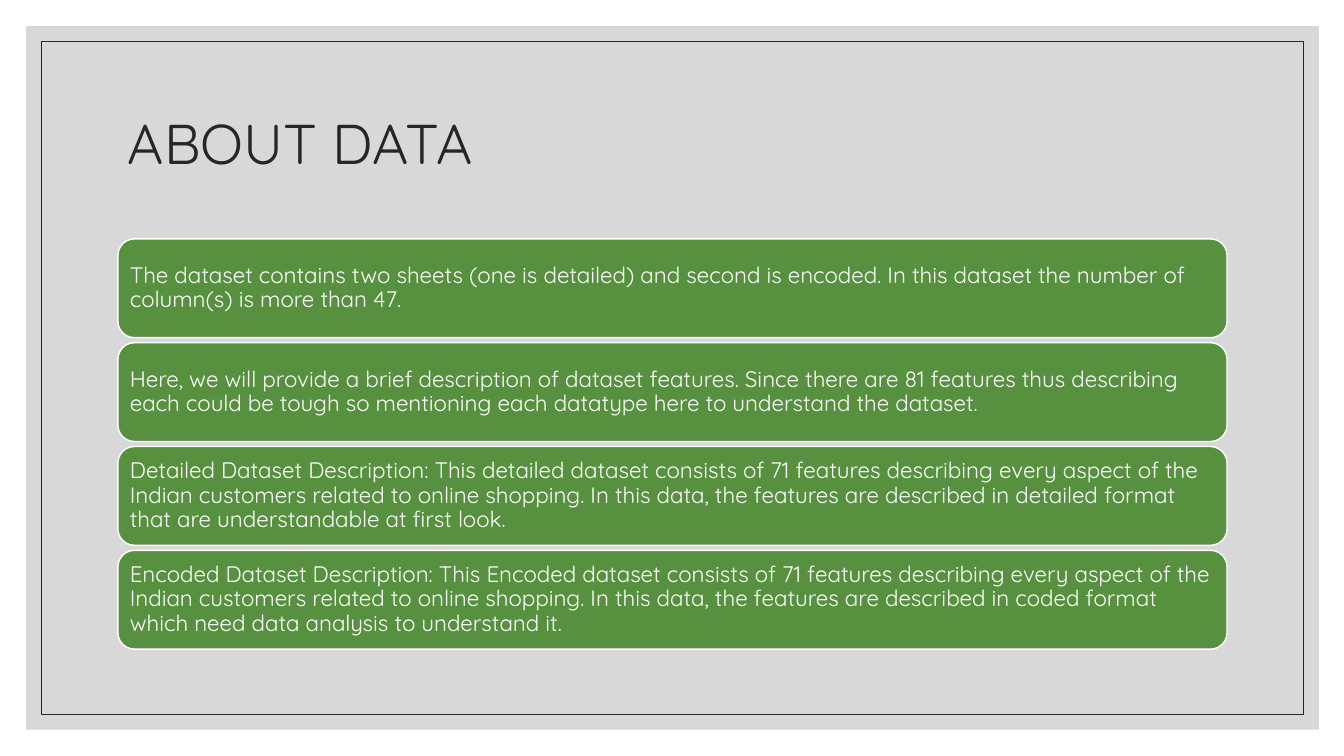
import dataclasses
import lxml.etree
import pptx
import pptx.dml.color
import pptx.enum.shapes
import pptx.enum.text
import pptx.oxml.ns
import pptx.util

Inches = pptx.util.Inches
Pt = pptx.util.Pt
SHAPES = pptx.enum.shapes.MSO_SHAPE


@dataclasses.dataclass(frozen=True)
class Theme:
    font: str = "Quicksand"
    ink: str = "262626"
    light: str = "FFFFFF"
    card: str = "57903F"
    panel: str = "BFBFBF"
    panel_opacity: int = 60
    title_size: int = 40
    body_size: int = 16


THEME = Theme()

FACTS = [
    "The dataset contains two sheets (one is detailed) and second is encoded. "
    "In this dataset the number of column(s) is more than 47.",
    "Here, we will provide a brief description of dataset features. Since there are "
    "81 features thus describing each could be tough so mentioning each datatype "
    "here to understand the dataset.",
    "Detailed Dataset Description: This detailed dataset consists of 71 features "
    "describing every aspect of the Indian customers related to online shopping. "
    "In this data, the features are described in detailed format that are "
    "understandable at first look.",
    "Encoded Dataset Description: This Encoded dataset consists of 71 features "
    "describing every aspect of the Indian customers related to online shopping. "
    "In this data, the features are described in coded format which need data "
    "analysis to understand it.",
]


def rgb(value):
    return pptx.dml.color.RGBColor.from_string(value)


def write(holder, text, *, size, color, inset):
    """Fill a shape or text box with one left-aligned, middle-anchored paragraph."""
    frame = holder.text_frame
    frame.word_wrap = True
    frame.vertical_anchor = pptx.enum.text.MSO_ANCHOR.MIDDLE
    frame.margin_left = frame.margin_right = Inches(inset)
    frame.margin_top = frame.margin_bottom = Inches(inset)
    paragraph = frame.paragraphs[0]
    paragraph.alignment = pptx.enum.text.PP_ALIGN.LEFT
    paragraph.line_spacing = 0.9
    run = paragraph.add_run()
    run.text = text
    run.font.name = THEME.font
    run.font.size = Pt(size)
    run.font.color.rgb = rgb(color)


def add_block(slide, kind, box, *, fill=None, opacity=100, line=None, width=1):
    block = slide.shapes.add_shape(kind, *map(Inches, box))
    block.shadow.inherit = False
    if fill:
        block.fill.solid()
        block.fill.fore_color.rgb = rgb(fill)
    else:
        block.fill.background()
    if opacity < 100:
        qn = pptx.oxml.ns.qn
        color = block.fill._xPr.find(qn("a:solidFill")).find(qn("a:srgbClr"))
        lxml.etree.SubElement(color, qn("a:alpha")).set("val", str(opacity * 1000))
    if line:
        block.line.color.rgb = rgb(line)
        block.line.width = Pt(width)
    else:
        block.line.fill.background()
    return block


def add_backdrop(slide, box):
    """Grey panel with a thin frame set inside it."""
    left, top, width, height = box
    add_block(slide, SHAPES.RECTANGLE, box,
              fill=THEME.panel, opacity=THEME.panel_opacity)
    inset = 0.15
    frame_box = (left + inset, top + inset, width - 2 * inset, height - 2 * inset)
    add_block(slide, SHAPES.RECTANGLE, frame_box, line=THEME.ink, width=0.5)


def add_title(slide, box, text):
    title = slide.shapes.add_textbox(*map(Inches, box))
    write(title, text, size=THEME.title_size, color=THEME.ink, inset=0.1)


def add_fact_cards(slide, box, facts, gap=0.05):
    """Equal cards stacked from top to bottom of the box."""
    left, top, width, height = box
    card_height = (height - gap * (len(facts) - 1)) / len(facts)
    for row, fact in enumerate(facts):
        card_top = top + row * (card_height + gap)
        card = add_block(slide, SHAPES.ROUNDED_RECTANGLE,
                         (left, card_top, width, card_height),
                         fill=THEME.card, line=THEME.light)
        write(card, fact, size=THEME.body_size, color=THEME.light, inset=0.07)


def add_about_data_slide(deck):
    slide = deck.slides.add_slide(deck.slide_layouts[6])
    # Background panel and frame
    add_backdrop(slide, (0.26, 0.26, 12.82, 6.98))
    # Heading
    add_title(slide, (1.17, 0.7, 11, 1.5), "ABOUT DATA")
    # Dataset facts
    add_fact_cards(slide, (1.17, 2.37, 11, 4.07), FACTS)


deck = pptx.Presentation()
deck.slide_width = Inches(13.33)
deck.slide_height = Inches(7.5)
add_about_data_slide(deck)
deck.save("out.pptx")
